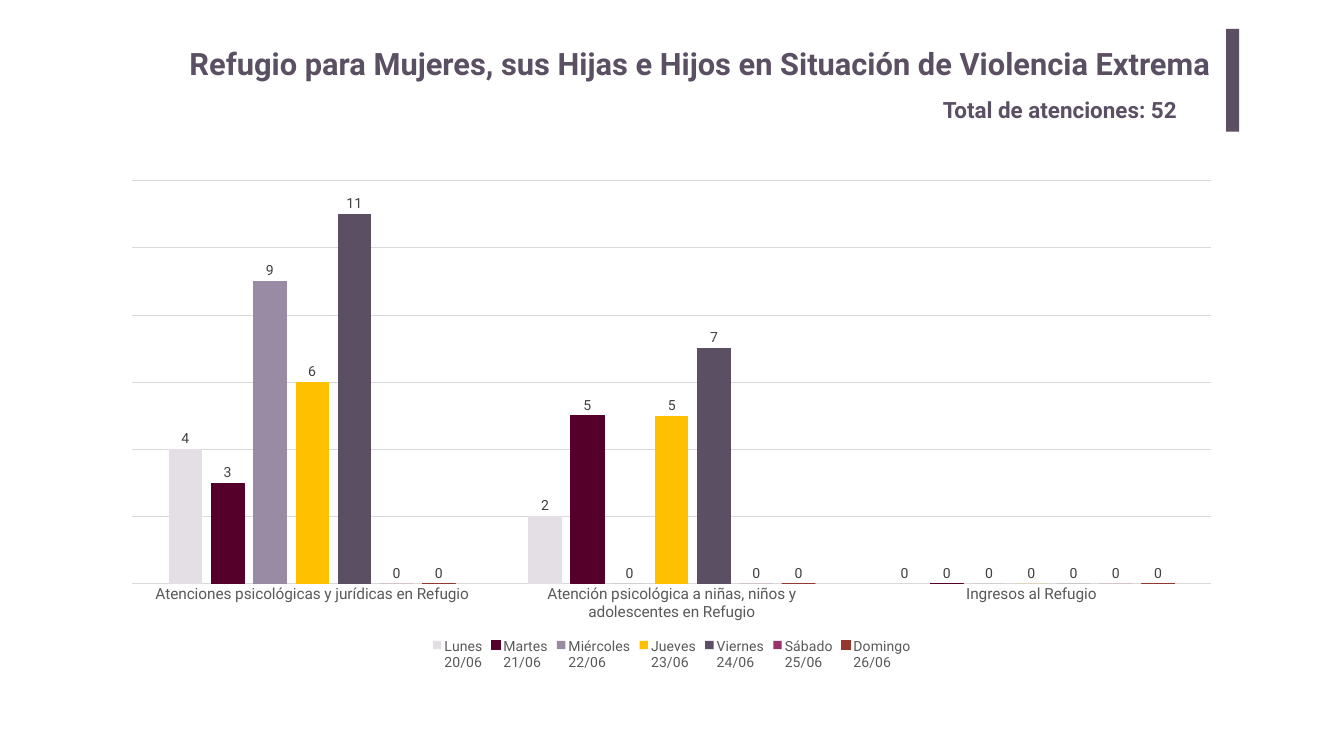
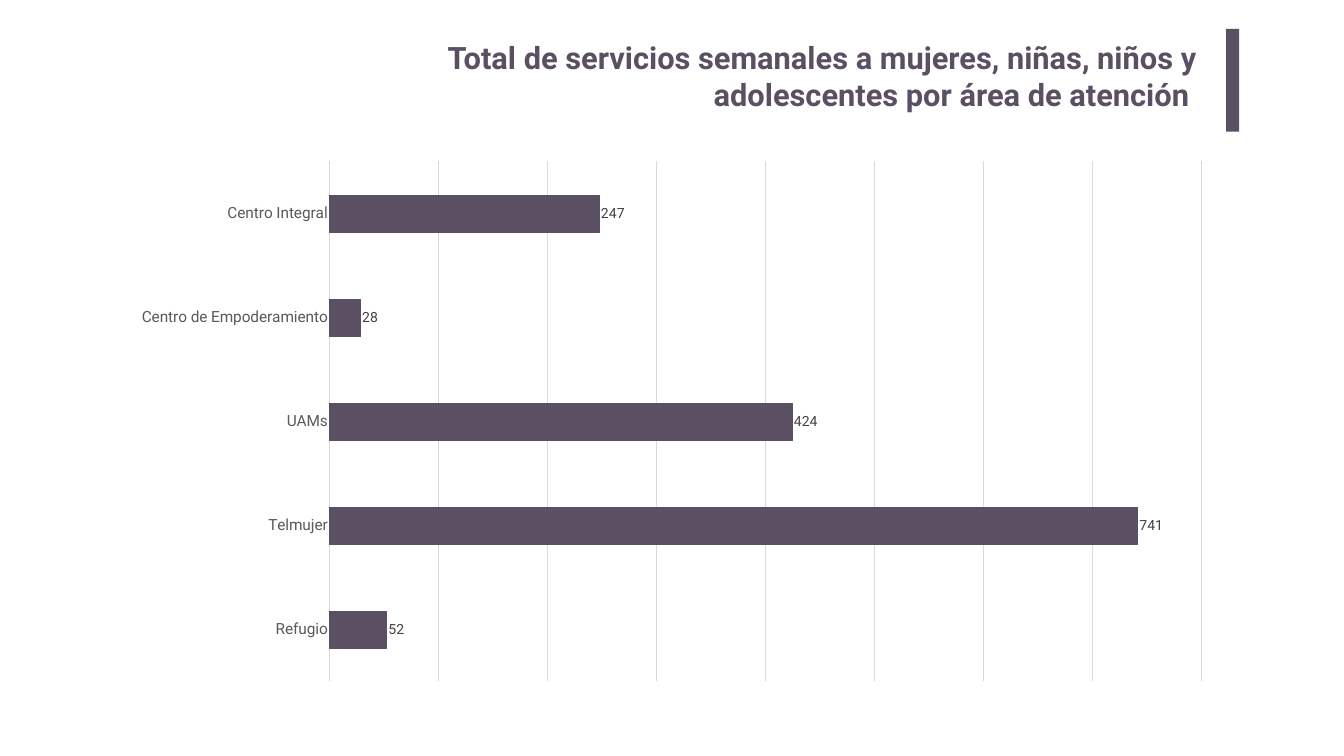
from lxml import etree
from pptx import Presentation
from pptx.chart.data import CategoryChartData
from pptx.dml.color import RGBColor
from pptx.enum.chart import XL_CHART_TYPE, XL_LABEL_POSITION, XL_LEGEND_POSITION, XL_TICK_MARK
from pptx.enum.shapes import MSO_SHAPE
from pptx.enum.text import MSO_ANCHOR, MSO_AUTO_SIZE, PP_ALIGN
from pptx.oxml.ns import qn
from pptx.util import Cm, Pt

COLUMN, BAR = XL_CHART_TYPE.COLUMN_CLUSTERED, XL_CHART_TYPE.BAR_CLUSTERED
OUTSIDE_END = XL_LABEL_POSITION.OUTSIDE_END
LEGEND_BOTTOM = XL_LEGEND_POSITION.BOTTOM
NO_TICK = XL_TICK_MARK.NONE
RECTANGLE = MSO_SHAPE.RECTANGLE
TOP = MSO_ANCHOR.TOP
NO_AUTOFIT = MSO_AUTO_SIZE.NONE
LEFT, RIGHT = PP_ALIGN.LEFT, PP_ALIGN.RIGHT

FONT = "Roboto"
PLUM = RGBColor(0x5B, 0x4F, 0x63)
LILAC = RGBColor(0x99, 0x8B, 0xA3)
PALE_LILAC = RGBColor(0xE3, 0xDF, 0xE5)
WINE = RGBColor(0x54, 0x00, 0x2A)
AMBER = RGBColor(0xFF, 0xC0, 0x00)
MAGENTA = RGBColor(0x99, 0x33, 0x66)
BRICK = RGBColor(0x95, 0x37, 0x2B)
GRID_GRAY = RGBColor(0xD9, 0xD9, 0xD9)
AXIS_GRAY = RGBColor(0x59, 0x59, 0x59)
LABEL_GRAY = RGBColor(0x40, 0x40, 0x40)
BLACK = RGBColor(0, 0, 0)
TITLE_ONLY_LAYOUT = 5


def format_font(font, size, color, bold=False):
    font.name, font.size, font.bold = FONT, Pt(size), bold
    font.color.rgb = color


def write_text(shape, text, size=44, align=LEFT, inset=0.25):
    frame = shape.text_frame
    frame.text = text
    frame.word_wrap = True
    frame.auto_size = NO_AUTOFIT
    frame.vertical_anchor = TOP
    frame.margin_left = frame.margin_right = Cm(inset)
    frame.margin_top = frame.margin_bottom = Cm(inset / 2)
    paragraph = frame.paragraphs[0]
    paragraph.alignment = align
    format_font(paragraph.runs[0].font, size, PLUM, bold=True)


def format_line(line, color):
    line.color.rgb = color
    line.width = Pt(0.75)


def place_plot(chart, **fractions):
    """Fix the inner plot area as fractions of the chart frame."""
    plot_area = chart.plots[0]._element.getparent()
    for old_layout in plot_area.findall(qn("c:layout")):
        plot_area.remove(old_layout)
    layout = etree.Element(qn("c:layout"))
    manual = etree.SubElement(layout, qn("c:manualLayout"))
    settings = {"layoutTarget": "inner", "xMode": "edge", "yMode": "edge", **fractions}
    for name, value in settings.items():
        etree.SubElement(manual, qn(f"c:{name}")).set("val", str(value))
    plot_area.insert(0, layout)


class Deck:
    def __init__(self):
        self.presentation = Presentation()
        self.presentation.slide_width = Cm(67.74)
        self.presentation.slide_height = Cm(38.1)
        self.slide = None

    def add_slide(self, title, box, **text_format):
        layout = self.presentation.slide_layouts[TITLE_ONLY_LAYOUT]
        self.slide = self.presentation.slides.add_slide(layout)
        shape = self.slide.shapes.title
        shape.left, shape.top, shape.width, shape.height = map(Cm, box)
        write_text(shape, title, **text_format)
        self.add_accent_bar()

    def add_accent_bar(self):
        shape = self.slide.shapes.add_shape(
            RECTANGLE, Cm(61.8), Cm(1.45), Cm(0.66), Cm(5.18))
        shape.shadow.inherit = False
        shape.fill.solid()
        shape.fill.fore_color.rgb = PLUM
        shape.line.fill.background()

    def add_text(self, text, box, **text_format):
        write_text(self.slide.shapes.add_textbox(*map(Cm, box)), text, **text_format)

    def add_chart(self, kind, box, categories, series_rows, maximum, step, gap, overlap=0):
        """Each series row is name, values, fill colour and whether it is outlined."""
        data = CategoryChartData()
        data.categories = categories
        for name, values, _, _ in series_rows:
            data.add_series(name, values)
        chart = self.slide.shapes.add_chart(kind, *map(Cm, box), data).chart
        chart.has_title = chart.has_legend = False
        format_font(chart.font, 10, BLACK)

        # Axes
        axis = chart.category_axis
        axis.major_tick_mark = axis.minor_tick_mark = NO_TICK
        format_font(axis.tick_labels.font, 22, AXIS_GRAY)
        format_line(axis.format.line, GRID_GRAY)
        values_axis = chart.value_axis
        values_axis.minimum_scale, values_axis.maximum_scale = 0, maximum
        values_axis.major_unit = step
        values_axis.has_major_gridlines = True
        format_line(values_axis.major_gridlines.format.line, GRID_GRAY)
        values_axis.visible = False

        # Series and value labels
        plot = chart.plots[0]
        plot.gap_width, plot.overlap = gap, overlap
        plot.vary_by_categories = False
        for series, (_, _, color, outlined) in zip(plot.series, series_rows):
            series.invert_if_negative = False
            series.format.fill.solid()
            series.format.fill.fore_color.rgb = color
            if outlined:
                format_line(series.format.line, color)
            else:
                series.format.line.fill.background()
            labels = series.data_labels
            labels.show_value = True
            labels.position = OUTSIDE_END
            format_font(labels.font, 20, LABEL_GRAY)
        return chart

    def add_legend(self, chart):
        chart.has_legend = True
        chart.legend.position = LEGEND_BOTTOM
        chart.legend.include_in_layout = False
        format_font(chart.legend.font, 20, AXIS_GRAY)


def add_shelter_slide(deck):
    deck.add_slide(
        "Refugio para Mujeres, sus Hijas e Hijos en Situación de Violencia Extrema",
        (9.3, 2.13, 52.65, 2.13))
    deck.add_text("Total de atenciones: 52", (47.27, 4.7, 13.59, 1.63), size=32)
    categories = [
        "Atenciones psicológicas y jurídicas en Refugio",
        "Atención psicológica a niñas, niños y adolescentes en Refugio",
        "Ingresos al Refugio",
    ]
    days = [
        ("Lunes", (4, 2, 0), PALE_LILAC, False),
        ("Martes", (3, 5, 0), WINE, True),
        ("Miércoles", (9, 0, 0), LILAC, False),
        ("Jueves", (6, 5, 0), AMBER, False),
        ("Viernes", (11, 7, 0), PLUM, False),
        ("Sábado", (0, 0, 0), MAGENTA, False),
        ("Domingo", (0, 0, 0), BRICK, True),
    ]
    series_rows = [(f"{day}\n{date}/06", *rest)
                   for date, (day, *rest) in enumerate(days, start=20)]
    chart = deck.add_chart(COLUMN, (5.54, 8.59, 56.64, 25.4), categories, series_rows,
                           maximum=12, step=2, gap=219, overlap=-27)
    place_plot(chart, x=0.02, y=0.02, w=0.96, h=0.8)
    deck.add_legend(chart)


def add_services_slide(deck):
    deck.add_slide(
        "Total de servicios semanales a mujeres, niñas, niños y adolescentes "
        "por área de atención ",
        (16.66, 1.7, 44.2, 5.18), align=RIGHT, inset=0.5)
    services = {
        "Centro Integral": 247,
        "Centro de Empoderamiento": 28,
        "UAMs": 424,
        "Telmujer": 741,
        "Refugio": 52,
    }
    series_rows = [("Series 1", list(services.values()), PLUM, True)]
    chart = deck.add_chart(BAR, (6.05, 7.59, 55.63, 27.3), list(services), series_rows,
                           maximum=800, step=100, gap=182)
    chart.category_axis.reverse_order = True
    place_plot(chart, x=0.19, y=0.02, w=0.79, h=0.96)


def main():
    deck = Deck()
    add_shelter_slide(deck)
    add_services_slide(deck)
    deck.presentation.save("out.pptx")


if __name__ == "__main__":
    main()
